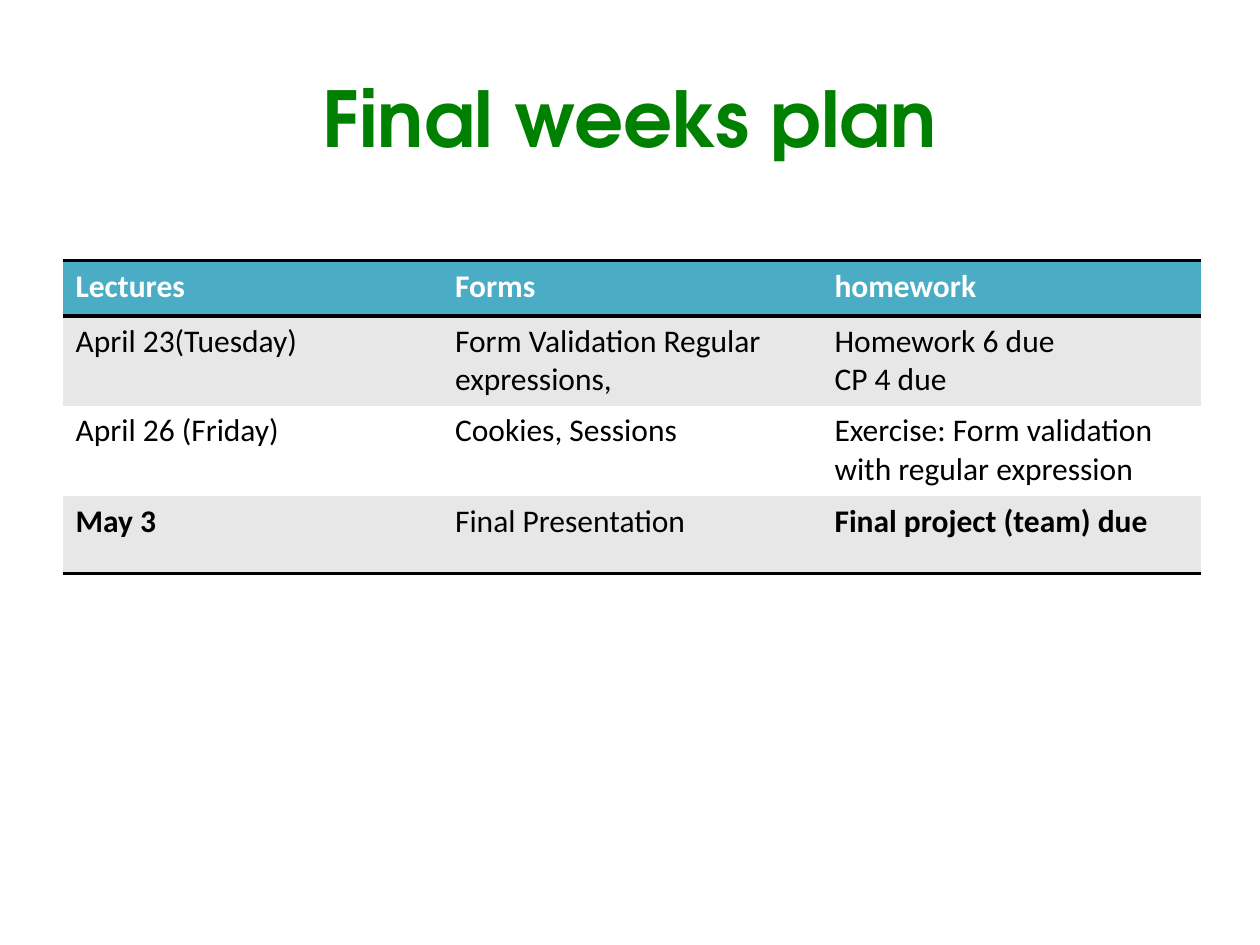
from lxml import etree
from pptx import Presentation
from pptx.dml.color import RGBColor
from pptx.enum.text import MSO_ANCHOR, PP_ALIGN
from pptx.oxml.ns import qn
from pptx.util import Cm, Pt


def color(value):
    return RGBColor.from_string(value)


def add_border(cell, side):
    tcPr = cell._tc.get_or_add_tcPr()
    ln = etree.Element(qn(f"a:{side}"), w=str(Pt(2)))
    fill = etree.SubElement(ln, qn("a:solidFill"))
    etree.SubElement(fill, qn("a:srgbClr"), val="000000")
    tcPr.insert(len(tcPr.findall(qn("a:lnT"))), ln)


prs = Presentation()
prs.slide_width, prs.slide_height = Cm(25.4), Cm(19.05)
s = prs.slides.add_slide(prs.slide_layouts[5])

title = s.shapes.title
title.left, title.top, title.width, title.height = Cm(1.27), Cm(0.76), Cm(22.86), Cm(3.18)
tf = title.text_frame
tf.text = "Final weeks plan"
tf.vertical_anchor = MSO_ANCHOR.MIDDLE
p = tf.paragraphs[0]
p.alignment = PP_ALIGN.CENTER
p.font.name, p.font.size, p.font.bold = "TeX Gyre Adventor", Pt(44), True
p.font.color.rgb = color("008000")

rows = [
    ["Lectures", "Forms", "homework"],
    ["April 23(Tuesday)", "Form Validation Regular expressions,", "Homework 6 due\nCP 4 due"],
    ["April 26 (Friday)", "Cookies, Sessions", "Exercise: Form validation with regular expression"],
    ["May 3", "Final Presentation", "Final project (team) due"],
]
fills = ["4BACC6", "E7E7E7", "FFFFFF", "E7E7E7"]
heights = [1.11, 1.8, 1.83, 1.56]
bold_cells = rows[0] + ["May 3", "Final project (team) due"]

table = s.shapes.add_table(4, 3, Cm(1.27), Cm(5.26), Cm(22.96), Cm(sum(heights))).table
table.first_row = table.horz_banding = False
style = table._tbl.tblPr.find(qn("a:tableStyleId"))
style.text = "{2D5ABB26-0587-4C30-8999-92F81FD0307C}"
for column in table.columns:
    column.width = Cm(7.65)

for i, texts in enumerate(rows):
    table.rows[i].height = Cm(heights[i])
    for j, text in enumerate(texts):
        cell = table.cell(i, j)
        cell.text = text
        cell.fill.solid()
        cell.fill.fore_color.rgb = color(fills[i])
        for p in cell.text_frame.paragraphs:
            p.font.name, p.font.size = "Calibri", Pt(18)
            p.font.bold = text in bold_cells
            p.font.color.rgb = color("FFFFFF" if i == 0 else "000000")
        if i == 0:
            add_border(cell, "lnT")
        if i in (0, len(rows) - 1):
            add_border(cell, "lnB")

prs.save("out.pptx")
